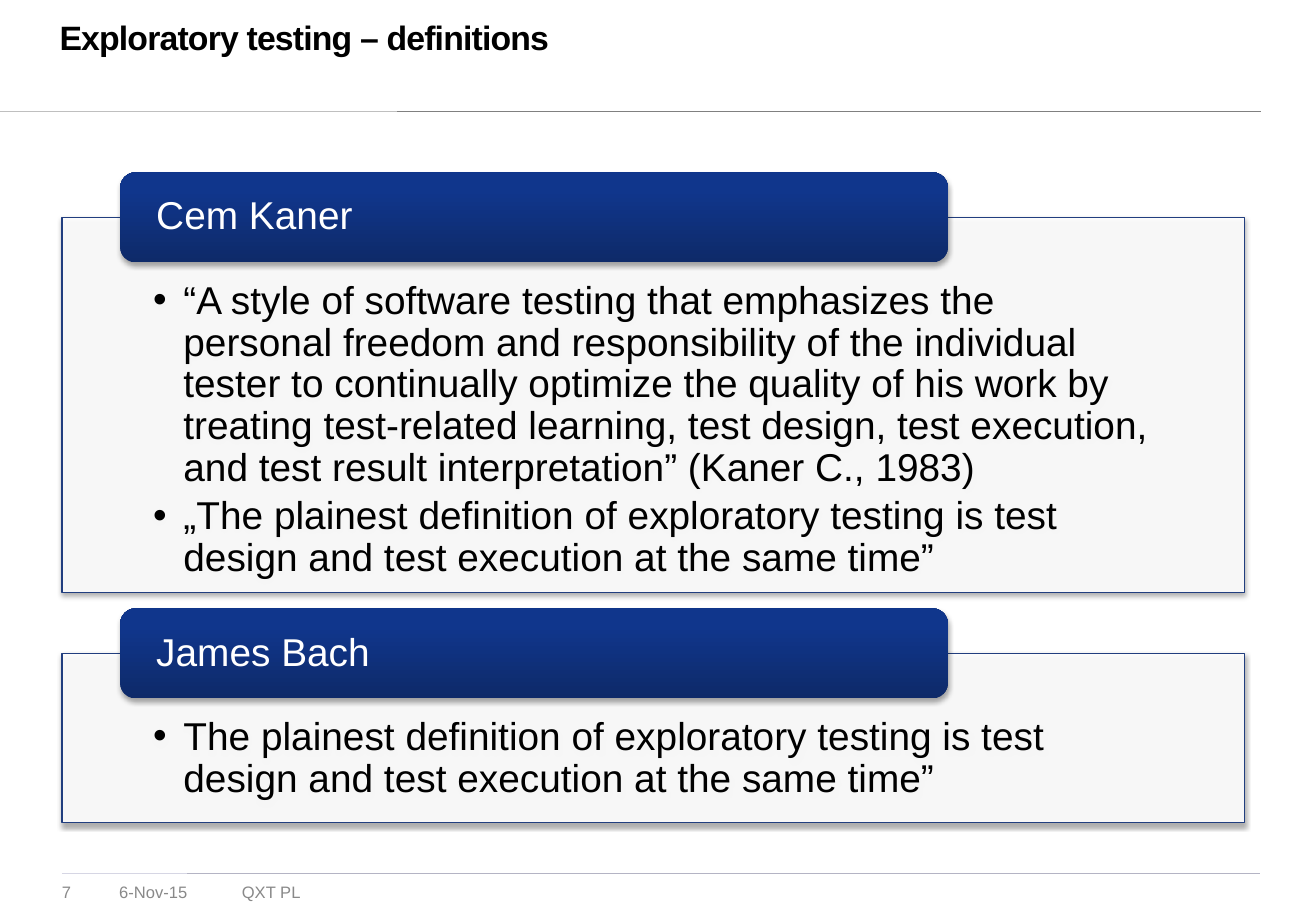
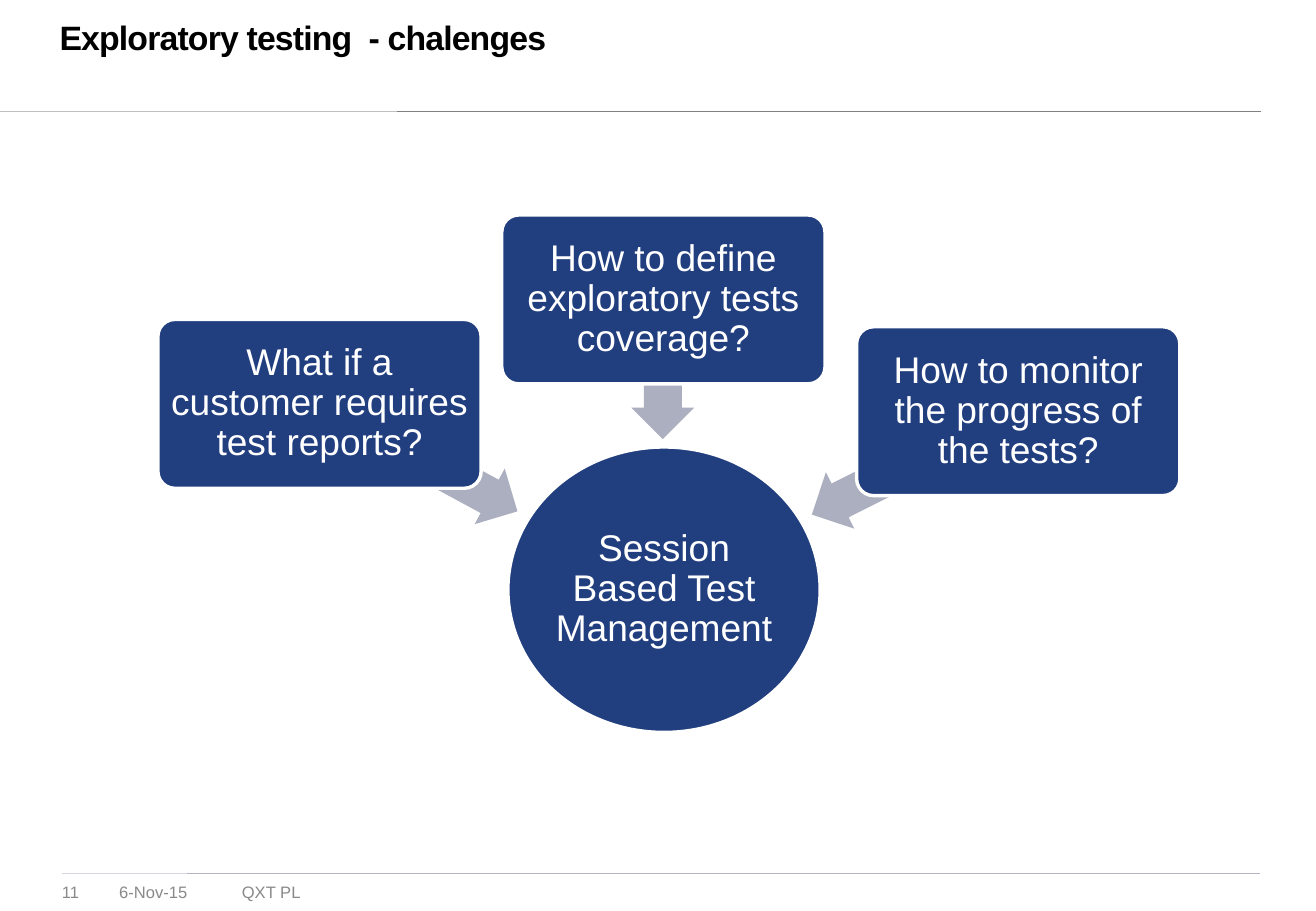
from lxml.etree import SubElement
from pptx import Presentation
from pptx.dml.color import RGBColor
from pptx.enum.shapes import MSO_CONNECTOR, MSO_SHAPE
from pptx.enum.text import MSO_ANCHOR, PP_ALIGN
from pptx.oxml.ns import qn
from pptx.util import Inches, Pt

NAVY = RGBColor(0x21, 0x3E, 0x7F)
TAG_DARK = RGBColor(0x0E, 0x2A, 0x69)
TAG_LIGHT = RGBColor(0x10, 0x36, 0x8C)
ARROW = RGBColor(0xAC, 0xAF, 0xC0)
BLACK = RGBColor(0, 0, 0)
WHITE = RGBColor(0xFF, 0xFF, 0xFF)
FOOTER_TEXT = RGBColor(0x89, 0x89, 0x89)
HEADER_RULE = (RGBColor(0xBF, 0xBF, 0xBF), RGBColor(0x80, 0x80, 0x80))
FOOTER_RULE = (RGBColor(0xD6, 0xD6, 0xE4), RGBColor(0xB4, 0xB4, 0xC4))

FONT = "Arial"
DATE = "6-Nov-15"
COMPANY = "QXT PL"


def write_text(shape, *texts, size, color, bold=False, align=PP_ALIGN.LEFT,
               anchor=MSO_ANCHOR.TOP, margins=(0, 0, 0, 0), line_spacing=None,
               space_after=0, tracking=None, bullet=False, wrap=True):
    frame = shape.text_frame
    frame.word_wrap = wrap
    frame.vertical_anchor = anchor
    (frame.margin_left, frame.margin_top,
     frame.margin_right, frame.margin_bottom) = map(Inches, margins)
    for index, text in enumerate(texts):
        para = frame.add_paragraph() if index else frame.paragraphs[0]
        para.alignment = align
        para.line_spacing = line_spacing
        para.space_after = Pt(space_after)
        if bullet:
            props = para._p.get_or_add_pPr()
            props.set("marL", str(Inches(0.25)))
            props.set("indent", str(Inches(-0.25)))
            SubElement(props, qn("a:buFont")).set("typeface", FONT)
            SubElement(props, qn("a:buChar")).set("char", "•")
        span = para.add_run()
        span.text = text
        span.font.name = FONT
        span.font.size = Pt(size)
        span.font.bold = bold
        span.font.color.rgb = color
        if tracking is not None:
            span._r.get_or_add_rPr().set("spc", str(round(tracking * 100)))


class SlideWriter:
    def __init__(self, deck):
        self.deck = deck
        self.page = None

    def start(self, title, number):
        self.page = self.deck.slides.add_slide(self.deck.slide_layouts[6])
        self.rule(-0.01, 3.27, 10.38, 0.92, HEADER_RULE)
        self.rule(0.51, 1.54, 10.37, 7.19, FOOTER_RULE)
        for left, width, text in ((0.51, 0.39, str(number)),
                                  (0.98, 0.89, DATE), (1.99, 1.41, COMPANY)):
            self.text(left, 7.26, width, 0.17, text, size=9.8,
                      color=FOOTER_TEXT, wrap=left != 0.51)
        self.text(0.49, 0.17, 9.93, 0.31, title, size=20, color=BLACK,
                  bold=True, line_spacing=Pt(21.7), tracking=-0.5)

    def rule(self, start, split, end, top, colors):
        for left, right, color in zip((start, split), (split, end), colors):
            line = self.page.shapes.add_connector(
                MSO_CONNECTOR.STRAIGHT, Inches(left), Inches(top),
                Inches(right), Inches(top))
            line.line.color.rgb = color
            line.line.width = Pt(0.25)
            SubElement(line._element.spPr, qn("a:effectLst"))

    def text(self, left, top, width, height, text, **style):
        box = self.page.shapes.add_textbox(
            *map(Inches, (left, top, width, height)))
        write_text(box, text, **style)

    def shape(self, kind, left, top, width, height, fill=None, line=None,
              line_width=0, adjust=(), shadow=False):
        shape = self.page.shapes.add_shape(
            kind, *map(Inches, (left, top, width, height)))
        shape.shadow.inherit = False
        for index, value in enumerate(adjust):
            shape.adjustments[index] = value
        if fill is not None:
            shape.fill.solid()
            shape.fill.fore_color.rgb = fill
        if line is None:
            shape.line.fill.background()
        else:
            shape.line.color.rgb = line
            shape.line.width = Pt(line_width)
        if shadow:
            effects = shape._element.spPr.find(qn("a:effectLst"))
            outer = SubElement(effects, qn("a:outerShdw"), blurRad=str(Pt(3.1)),
                               dist=str(Pt(1.8)), dir="5400000", rotWithShape="0")
            tint = SubElement(outer, qn("a:srgbClr"), val=str(BLACK))
            SubElement(tint, qn("a:alpha"), val="35000")
        return shape

    def panel(self, top, height, name, *quotes):
        panel = self.shape(MSO_SHAPE.RECTANGLE, 0.51, top, 9.73, height,
                           fill=WHITE, line=NAVY, line_width=0.75, shadow=True)
        tint = panel._element.spPr.find(qn("a:solidFill"))[0]
        SubElement(tint, qn("a:alpha"), val="90000")
        write_text(panel, *quotes, size=23, color=BLACK, bullet=True,
                   margins=(0.75, 0.52, 0.75, 0.18), line_spacing=0.9,
                   space_after=3.5)
        tag = self.shape(MSO_SHAPE.ROUNDED_RECTANGLE, 0.99, top - 0.37,
                         6.81, 0.74, shadow=True)
        tag.fill.gradient()
        tag.fill.gradient_angle = 90
        for stop, color, position in zip(tag.fill.gradient_stops,
                                         (TAG_DARK, TAG_LIGHT), (0, 0.8)):
            stop.color.rgb = color
            stop.position = position
        write_text(tag, name, size=23, color=WHITE, anchor=MSO_ANCHOR.MIDDLE,
                   margins=(0.26, 0, 0.26, 0), line_spacing=0.9)

    def node(self, kind, left, top, width, height, text, margin, adjust=()):
        node = self.shape(kind, left, top, width, height, fill=NAVY,
                          line=WHITE, line_width=2, adjust=adjust)
        write_text(node, text, size=22, color=WHITE, align=PP_ALIGN.CENTER,
                   anchor=MSO_ANCHOR.MIDDLE, margins=(margin,) * 4,
                   line_spacing=0.9)

    def arrow(self, left, top, width, rotation):
        arrow = self.shape(MSO_SHAPE.LEFT_ARROW, left, top, width, 0.52,
                           fill=ARROW, adjust=(0.6, 0.5))
        arrow.rotation = rotation


def add_definitions(writer):
    writer.start("Exploratory testing – definitions", 7)
    plainest = ("The plainest definition of exploratory testing is test design "
                "and test execution at the same time”")
    writer.panel(
        1.79, 3.09, "Cem Kaner",
        "“A style of software testing that emphasizes the personal freedom and "
        "responsibility of the individual tester to continually optimize the "
        "quality of his work by treating test-related learning, test design, "
        "test execution, and test result interpretation” (Kaner C., 1983)",
        "„" + plainest)
    writer.panel(5.38, 1.39, "James Bach", plainest)


def add_challenges(writer):
    writer.start("Exploratory testing  - chalenges", 11)
    writer.node(MSO_SHAPE.OVAL, 4.18, 3.68, 2.57, 2.35,
                "Session Based Test Management", 0)
    challenges = (
        ((2.52, 3.51, 1.85, 208.4), (1.3, 2.63),
         "What if a customer requires test reports?"),
        ((4.88, 2.78, 1.15, 270), (4.13, 1.77),
         "How to define exploratory tests coverage?"),
        ((6.58, 3.55, 1.9, 333.3), (7.05, 2.69),
         "How to monitor the progress of the tests?"),
    )
    for arrow, corner, question in challenges:
        writer.arrow(*arrow)
        writer.node(MSO_SHAPE.ROUNDED_RECTANGLE, *corner, 2.66, 1.39,
                    question, 0.05, adjust=(0.1,))


def main():
    deck = Presentation()
    deck.slide_width = Inches(10.83)
    deck.slide_height = Inches(7.5)
    writer = SlideWriter(deck)
    add_definitions(writer)
    add_challenges(writer)
    deck.save("out.pptx")


if __name__ == "__main__":
    main()
